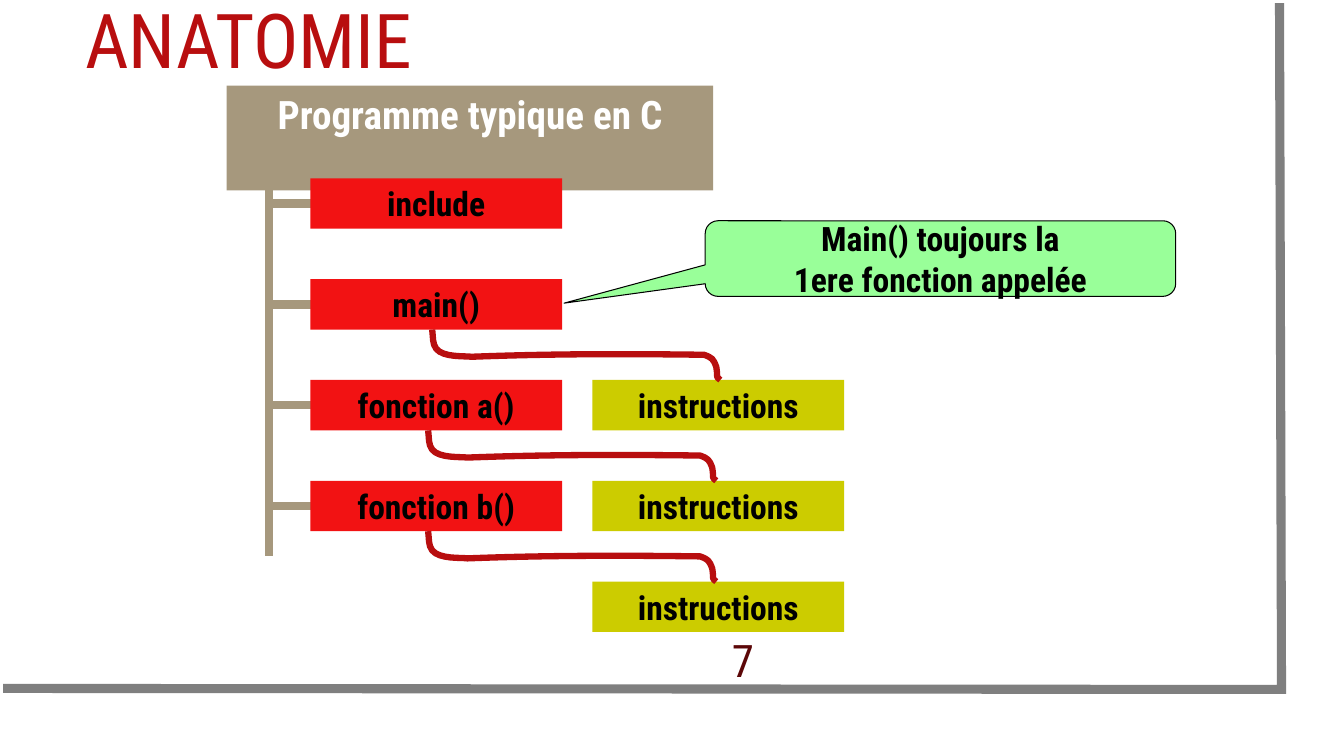
from lxml import etree
from pptx import Presentation
from pptx.dml.color import RGBColor
from pptx.enum.shapes import MSO_CONNECTOR as CONN, MSO_SHAPE as SHAPE
from pptx.enum.text import MSO_ANCHOR as ANCHOR, PP_ALIGN as ALIGN
from pptx.oxml.ns import qn
from pptx.util import Inches, Pt

WHITE = RGBColor(0xFF, 0xFF, 0xFF)
BLACK = RGBColor(0, 0, 0)
GREY = RGBColor(0x7F, 0x7F, 0x7F)
CRIMSON = RGBColor(0xB8, 0x0E, 0x0F)
MAROON = RGBColor(0x5C, 0x07, 0x08)
TAUPE = RGBColor(0xA6, 0x98, 0x7D)
RED = RGBColor(0xF2, 0x12, 0x13)
OLIVE = RGBColor(0xCC, 0xCC, 0x00)
GREEN = RGBColor(0x99, 0xFF, 0x99)
FONT = "Roboto Condensed"

SECTIONS = ["include", "main()", "fonction a()", "fonction b()"]
ROW_STEP = 1
BLOCK_W, BLOCK_H = 2.5, 0.5
LINK_POINTS = [
    (0, 0),
    (0.01, 0.07), (0, 0.14), (0.04, 0.19),
    (0.11, 0.28), (0.33, 0.26), (0.39, 0.27),
    (1.17, 0.24), (1.92, 0.24), (2.7, 0.25),
    (2.78, 0.28), (2.79, 0.29), (2.82, 0.37),
    (2.84, 0.49), (2.81, 0.46), (2.86, 0.5),
]


def write(sp, lines, size, color, bold=True, align=ALIGN.CENTER,
          anchor=ANCHOR.TOP, wrap=True, spacing=None):
    tf = sp.text_frame
    tf.word_wrap = wrap
    tf.vertical_anchor = anchor
    for i, line in enumerate(lines):
        p = tf.paragraphs[0] if i == 0 else tf.add_paragraph()
        p.alignment = align
        p.line_spacing = spacing
        r = p.add_run()
        r.text = line
        for name, value in {"name": FONT, "size": Pt(size), "bold": bold}.items():
            setattr(r.font, name, value)
        r.font.color.rgb = color


def add_text(s, box, text, size, color, **fmt):
    sp = s.shapes.add_textbox(*map(Inches, box))
    write(sp, [text], size, color, bold=False, anchor=ANCHOR.MIDDLE, **fmt)


def add_block(s, box, text, fill, size=24, color=BLACK):
    sp = s.shapes.add_shape(SHAPE.RECTANGLE, *map(Inches, box))
    sp.shadow.inherit = False
    sp.fill.solid()
    sp.fill.fore_color.rgb = fill
    sp.line.fill.background()
    write(sp, [text], size, color)


def add_line(s, x1, y1, x2, y2):
    c = s.shapes.add_connector(CONN.STRAIGHT, *map(Inches, (x1, y1, x2, y2)))
    c.line.color.rgb = TAUPE
    c.line.width = Pt(6)
    etree.SubElement(c._element.spPr, qn("a:effectLst"))


def add_path(s, points, color, width):
    pts = [(Inches(x), Inches(y)) for x, y in points]
    builder = s.shapes.build_freeform(*pts[0])
    builder.add_line_segments(pts[1:], close=False)
    sp = builder.convert_to_shape()
    sp.shadow.inherit = False
    sp.fill.background()
    sp.line.color.rgb = color
    sp.line.width = Pt(width)
    return sp


def bend(sp):
    outline = next(sp._element.iter(qn("a:path")))
    segments = outline.findall(qn("a:lnTo"))
    for i in range(0, len(segments), 3):
        curve = etree.SubElement(outline, qn("a:cubicBezTo"))
        for segment in segments[i:i + 3]:
            curve.append(segment[0])
            outline.remove(segment)


def draw_frame(s, left, top, width, height):
    right, bottom = left + width, top + height
    sp = add_path(s, [(right - 0.02, top), (right, bottom), (left, bottom - 0.01)],
                  GREY, 6.5)
    etree.SubElement(sp._element.spPr.find(qn("a:ln")), qn("a:miter"), lim="800000")


def draw_link(s, left, top):
    bend(add_path(s, [(left + x, top + y) for x, y in LINK_POINTS], CRIMSON, 4.5))


def draw_tree(s, left, top, width, height):
    trunk_x = left + 0.42
    block_x = left + 0.83
    first_y = top + 0.92
    rows = [first_y + i * ROW_STEP for i in range(len(SECTIONS))]
    for y in rows:
        add_line(s, trunk_x, y + 0.25, trunk_x + 0.58, y + 0.25)
    add_block(s, (left, top, width, height), "Programme typique en C", TAUPE, 28, WHITE)
    for y, text in zip(rows, SECTIONS):
        add_block(s, (block_x, y, BLOCK_W, BLOCK_H), text, RED)
    add_line(s, trunk_x, top + 0.59, trunk_x, top + 4.67)
    for y in rows[1:]:
        add_block(s, (block_x + 2.8, y + ROW_STEP, BLOCK_W, BLOCK_H),
                  "instructions", OLIVE)
    for y, indent in zip(rows[1:], (2.04, 2, 2)):
        draw_link(s, left + indent, y + BLOCK_H)


def draw_callout(s, left, top, width, height):
    sp = s.shapes.add_shape(SHAPE.ROUNDED_RECTANGULAR_CALLOUT,
                            *map(Inches, (left, top, width, height)))
    for i, value in enumerate((-0.8, 0.59, 0.17)):
        sp.adjustments[i] = value
    sp.shadow.inherit = False
    sp.fill.solid()
    sp.fill.fore_color.rgb = GREEN
    sp.line.color.rgb = BLACK
    sp.line.width = Pt(0.75)
    write(sp, ["Main() toujours la", "1ere fonction appelée"], 24, BLACK,
          anchor=ANCHOR.MIDDLE, wrap=False)


def main():
    prs = Presentation()
    prs.slide_width, prs.slide_height = Inches(13.34), Inches(7.5)
    s = prs.slides.add_slide(prs.slide_layouts[6])
    draw_frame(s, 0.03, 0.03, 12.69, 6.81)
    add_text(s, (0.75, -0.19, 11.37, 1.26), "ANATOMIE", 54, CRIMSON,
             align=ALIGN.LEFT, spacing=0.9)
    add_text(s, (6.88, 6.27, 0.99, 0.54), "7", 32, MAROON)
    draw_tree(s, 2.25, 0.85, 4.83, 1.04)
    draw_callout(s, 7, 2.19, 4.67, 0.75)
    prs.save("out.pptx")


if __name__ == "__main__":
    main()
